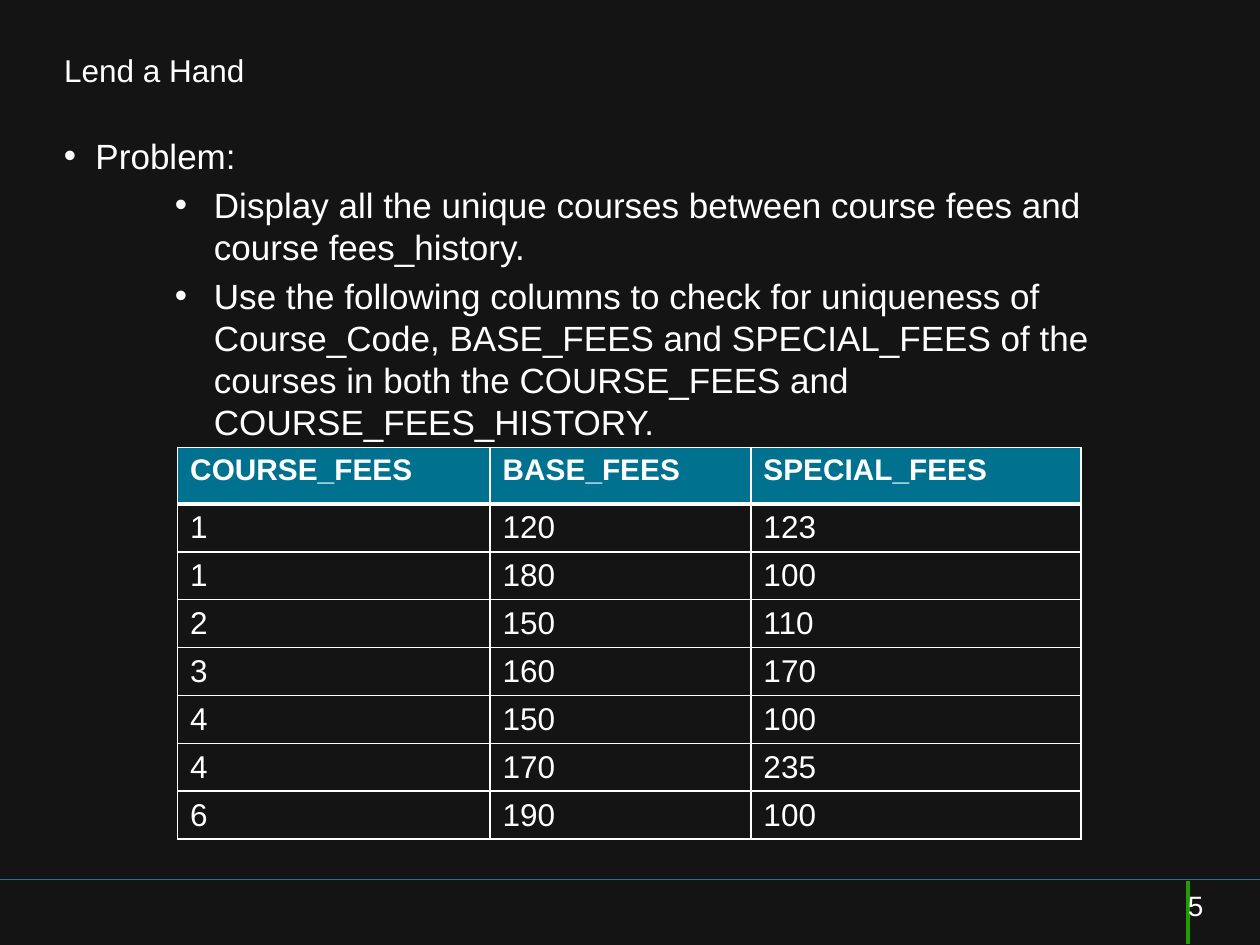
from pptx import Presentation
from pptx.dml.color import RGBColor
from pptx.enum.shapes import MSO_CONNECTOR
from pptx.enum.text import MSO_ANCHOR
from pptx.oxml.ns import qn
from pptx.util import Inches, Pt
from lxml.etree import SubElement

WHITE = "FFFFFF"
COURSE_ROWS = [
    ("COURSE_FEES", "BASE_FEES", "SPECIAL_FEES"),
    ("1", "120", "123"),
    ("1", "180", "100"),
    ("2", "150", "110"),
    ("3", "160", "170"),
    ("4", "150", "100"),
    ("4", "170", "235"),
    ("6", "190", "100"),
]
PROBLEM_POINTS = [
    "Display all the unique courses between course fees and course fees_history.",
    "Use the following columns to check for uniqueness of Course_Code, BASE_FEES and "
    "SPECIAL_FEES of the courses in both the COURSE_FEES and COURSE_FEES_HISTORY.",
]


def color(value):
    """Turn a hex string into a colour."""
    return RGBColor.from_string(value)


def write(para, text, size=18, bold=False, fill=WHITE):
    """Add a formatted span of text to a paragraph."""
    span = para.add_run()
    span.text = text
    span.font.name = "Arial"
    span.font.size = Pt(size)
    span.font.bold = bold
    span.font.color.rgb = color(fill)


def add_box(page, left, top, width, height):
    """Add an empty wrapping text box and return its text frame."""
    box = page.shapes.add_textbox(Inches(left), Inches(top), Inches(width), Inches(height))
    box.text_frame.word_wrap = True
    return box.text_frame


def add_bullet(para, text, margin, hanging, level=0):
    """Write a bulleted paragraph with a hanging indent."""
    para.level = level
    para.space_before = Pt(4)
    properties = para._p.get_or_add_pPr()
    properties.set("marL", str(Inches(margin)))
    properties.set("indent", str(-Inches(hanging)))
    bullet_color = SubElement(properties, qn("a:buClr"))
    SubElement(bullet_color, qn("a:srgbClr"), val=WHITE)
    SubElement(properties, qn("a:buFont"), typeface="Arial")
    SubElement(properties, qn("a:buChar"), char="•")
    write(para, text, size=20)


def add_line(page, start, end, stroke, width):
    """Draw a straight line without a shadow."""
    line = page.shapes.add_connector(
        MSO_CONNECTOR.STRAIGHT, *(Inches(value) for value in start + end))
    line.line.color.rgb = color(stroke)
    line.line.width = Pt(width)
    SubElement(line._element.spPr, qn("a:effectLst"))


def set_borders(cell, widths):
    """Give a cell white borders with a width in points for each side."""
    properties = cell._tc.get_or_add_tcPr()
    for position, (side, width) in enumerate(widths.items()):
        border = properties.makeelement(qn(f"a:{side}"), {"w": str(Pt(width))})
        fill = SubElement(border, qn("a:solidFill"))
        SubElement(fill, qn("a:srgbClr"), val=WHITE)
        properties.insert(position, border)


def add_fee_table(page):
    """Add the table of course fees."""
    table = page.shapes.add_table(
        len(COURSE_ROWS), 3, Inches(1.41), Inches(3.55), Inches(7.17), Inches(3.04)).table
    for column, width in zip(table.columns, (2.48, 2.07, 2.62)):
        column.width = Inches(width)
    for index, values in enumerate(COURSE_ROWS):
        header = index == 0
        table.rows[index].height = Inches(0.45 if header else 0.38)
        for cell, text in zip(table.rows[index].cells, values):
            if header:
                cell.fill.solid()
                cell.fill.fore_color.rgb = color("00728F")
            else:
                cell.fill.background()
                cell.vertical_anchor = MSO_ANCHOR.MIDDLE
                cell.margin_top = cell.margin_bottom = Inches(0.03)
            set_borders(cell, {"lnL": 1, "lnR": 1, "lnT": 3 if index == 1 else 1,
                               "lnB": 3 if header else 1})
            write(cell.text_frame.paragraphs[0], text, size=17 if header else 18, bold=header)


def main():
    """Build the slide and save it."""
    deck = Presentation()
    deck.slide_width, deck.slide_height = Inches(10), Inches(7.5)
    page = deck.slides.add_slide(deck.slide_layouts[6])
    page.background.fill.solid()
    page.background.fill.fore_color.rgb = color("141414")

    add_line(page, (10, 6.98), (0, 6.98), "287094", 0.75)
    add_line(page, (9.43, 6.99), (9.43, 7.49), "209D03", 2)
    write(add_box(page, 0.41, 0.36, 9.18, 0.66).paragraphs[0], "Lend a Hand")

    body = add_box(page, 0.41, 1.02, 9.17, 5.06)
    add_bullet(body.paragraphs[0], "Problem:", 0.25, 0.25)
    for point in PROBLEM_POINTS:
        add_bullet(body.add_paragraph(), point, 1.19, 0.31, level=1)

    write(add_box(page, 9.33, 7, 0.5, 0.3).paragraphs[0], "5", size=16)
    add_fee_table(page)
    deck.save("out.pptx")


if __name__ == "__main__":
    main()
